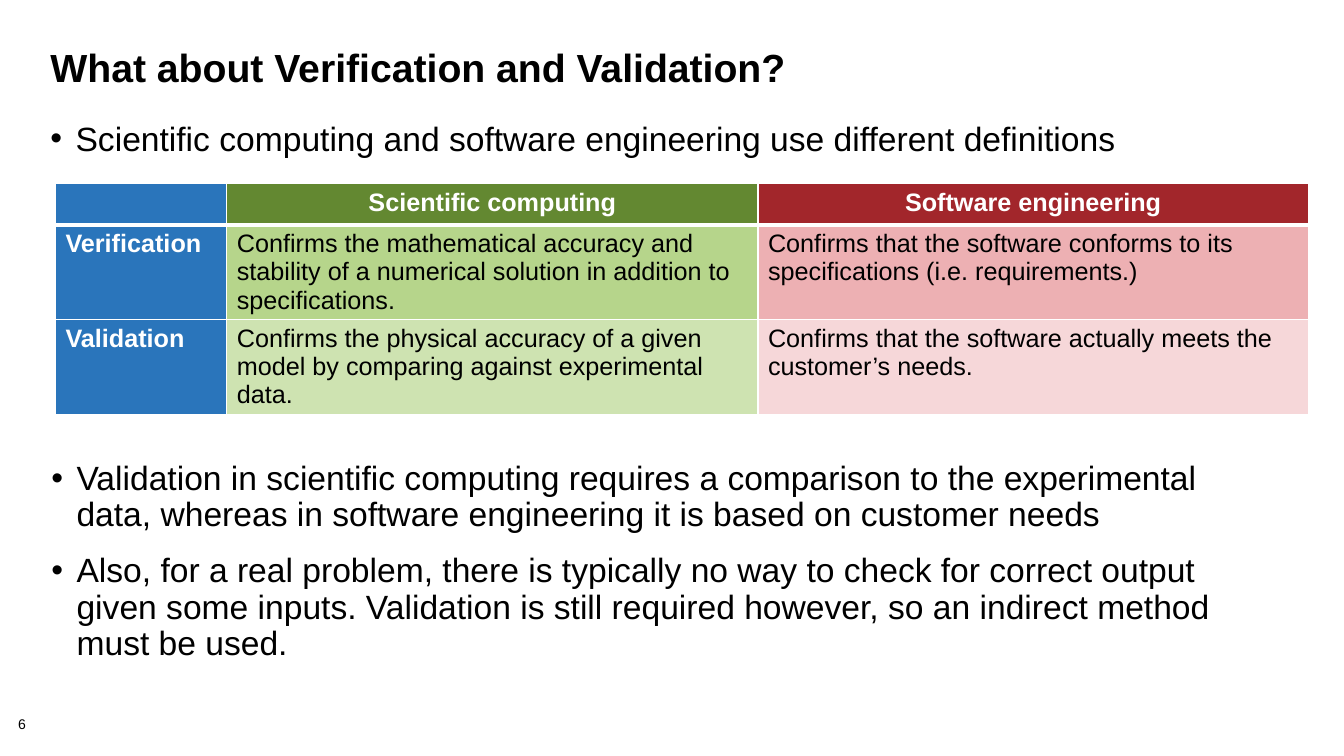
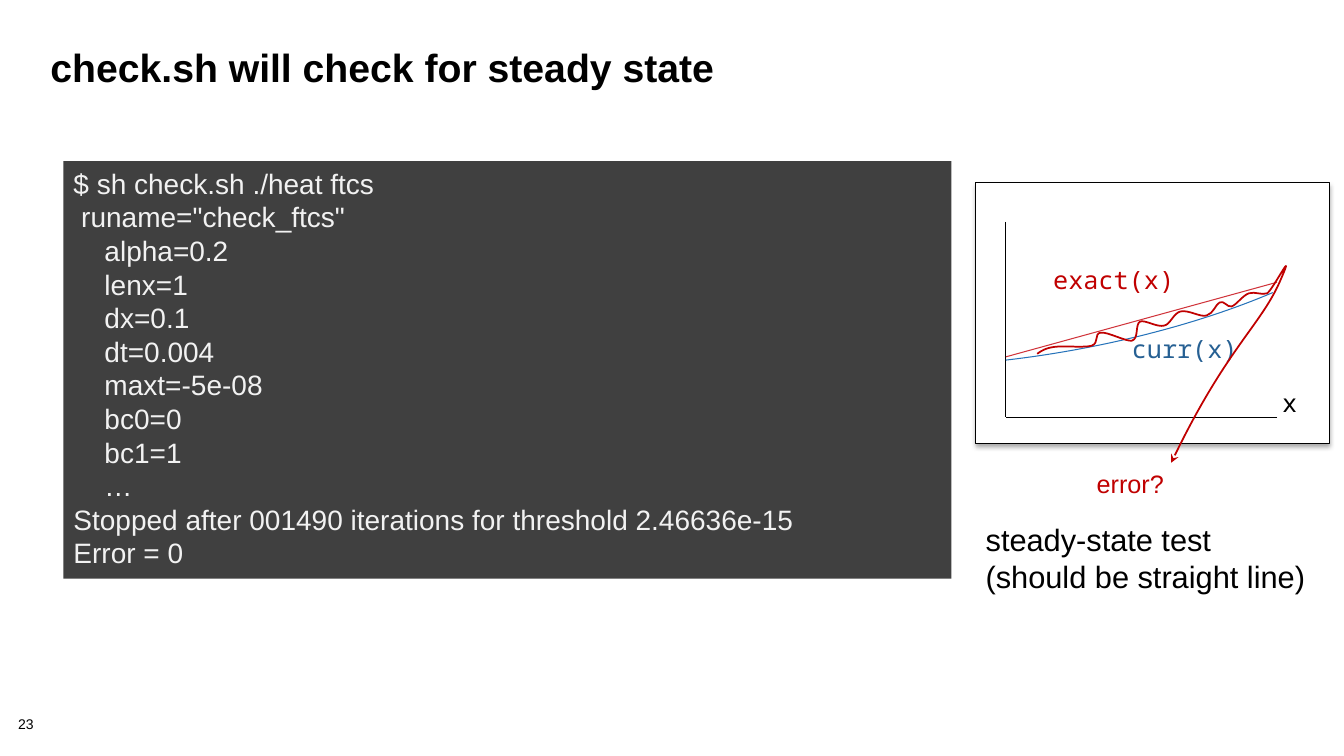
from dataclasses import dataclass
from typing import NamedTuple

from lxml import etree
from pptx import Presentation
from pptx.dml.color import RGBColor
from pptx.enum.shapes import MSO_CONNECTOR, MSO_SHAPE
from pptx.enum.text import MSO_ANCHOR, MSO_AUTO_SIZE, PP_ALIGN
from pptx.oxml.ns import qn
from pptx.util import Inches, Pt

RECT, ARC = MSO_SHAPE.RECTANGLE, MSO_SHAPE.ARC
LINE = MSO_CONNECTOR.STRAIGHT
TOP, MIDDLE = MSO_ANCHOR.TOP, MSO_ANCHOR.MIDDLE
LEFT, CENTER = PP_ALIGN.LEFT, PP_ALIGN.CENTER
FIXED, GROW = MSO_AUTO_SIZE.NONE, MSO_AUTO_SIZE.SHAPE_TO_FIT_TEXT
TWO_LISTS, TITLE_ONLY = 3, 5


@dataclass(frozen=True)
class Theme:
    sans: str = "Arial"
    mono: str = "Noto Sans Mono"
    ink: str = "000000"
    paper: str = "FFFFFF"
    blue: str = "2A75BB"
    green: tuple = ("638831", "B6D58B", "CEE3B1")
    red: tuple = ("A2262B", "EDB0B3", "F6D7D9")
    term: str = "404040"
    code: str = "F2F2F2"
    exact: str = "D0343B"
    curve: str = "2673BA"
    label: str = "266093"
    alert: str = "C00000"
    head_pt: int = 28
    list_pt: int = 24
    note_pt: int = 22
    code_pt: int = 20
    text_pt: int = 18
    page_pt: int = 10
    hair: float = 0.75


T = Theme()


class Box(NamedTuple):
    x: float
    y: float
    w: float
    h: float

    def emu(self) -> list:
        return [Inches(v) for v in self]


class Style(NamedTuple):
    size: int
    color: str = T.ink
    face: str = T.sans
    bold: bool = False
    align: PP_ALIGN = LEFT
    lead: float = 1.0
    gap: int = 0
    bullet: bool = False


class Label(NamedTuple):
    box: Box
    text: str
    style: Style
    wrap: bool = True
    inset: tuple = (0.1, 0.05)
    anchor: MSO_ANCHOR = TOP
    fit: MSO_AUTO_SIZE = GROW


class Cell(NamedTuple):
    text: str
    fill: str
    style: Style


class Stroke(NamedTuple):
    start: tuple
    end: tuple
    color: str


TITLE = Style(T.head_pt, bold=True, lead=0.85)
LIST = Style(T.list_pt, lead=0.9, gap=14, bullet=True)
BODY = Style(T.text_pt)
SIDE = Style(T.text_pt, T.paper, bold=True)
HEAD = SIDE._replace(align=CENTER)
MONO = Style(T.text_pt, face=T.mono)


# Shared helpers
def rgb(code: str) -> RGBColor:
    return RGBColor.from_string(code)


def add(node, tag: str, **attrs):
    return etree.SubElement(node, qn(tag), {k: str(v) for k, v in attrs.items()})


def write(frame, text: str, style: Style) -> None:
    """Fill a text frame, one paragraph for each line of text."""
    for i, line in enumerate(text.split("\n")):
        para = frame.paragraphs[0] if i == 0 else frame.add_paragraph()
        para.add_run().text = line
        if style.bullet:
            props = para._p.get_or_add_pPr()
            props.set("marL", str(Inches(0.25)))
            props.set("indent", str(-Inches(0.25)))
            add(add(props, "a:buClr"), "a:srgbClr", val=T.ink)
            add(props, "a:buFont", typeface=T.sans)
            add(props, "a:buChar", char="•")
        para.alignment, para.line_spacing = style.align, style.lead
        para.space_before = Pt(style.gap if i else 0)
        font = para.font
        font.name, font.size, font.bold = style.face, Pt(style.size), style.bold
        font.color.rgb = rgb(style.color)


def place(holder, box: Box, text: str, style: Style) -> None:
    holder.left, holder.top, holder.width, holder.height = box.emu()
    frame = holder.text_frame
    frame.auto_size, frame.vertical_anchor = FIXED, TOP
    write(frame, text, style)


def put(slide, item: Label) -> None:
    frame = slide.shapes.add_textbox(*item.box.emu()).text_frame
    frame.word_wrap, frame.vertical_anchor = item.wrap, item.anchor
    frame.auto_size = item.fit
    across, down = (Inches(v) for v in item.inset)
    frame.margin_left = frame.margin_right = across
    frame.margin_top = frame.margin_bottom = down
    write(frame, item.text, item.style)


def paint(shape, fill: str = "", line: str = "", width: float = T.hair) -> None:
    shape.shadow.inherit = False
    if fill:
        shape.fill.solid()
        shape.fill.fore_color.rgb = rgb(fill)
    else:
        shape.fill.background()
    if line:
        shape.line.color.rgb = rgb(line)
        shape.line.width = Pt(width)
    else:
        shape.line.fill.background()


def rule(slide, item: Stroke) -> None:
    ends = [Inches(v) for v in item.start + item.end]
    line = slide.shapes.add_connector(LINE, *ends)
    line.line.color.rgb = rgb(item.color)
    line.line.width = Pt(T.hair)
    add(line._element.spPr, "a:effectLst")


def start(deck, kind: int, title: str, page: int):
    """Add a slide with its title and page number."""
    slide = deck.slides.add_slide(deck.slide_layouts[kind])
    place(slide.shapes.title, Box(0.4, 0.45, 12.44, 1), title, TITLE)
    put(slide, Label(Box(0.18, 7.12, 0.56, 0.16), str(page),
                     Style(T.page_pt, lead=0.9), inset=(0, 0), fit=FIXED))
    return slide


# Table of terms
GRID = (
    (Cell("", T.blue, HEAD),
     Cell("Scientific computing", T.green[0], HEAD),
     Cell("Software engineering", T.red[0], HEAD)),
    (Cell("Verification", T.blue, SIDE),
     Cell("Confirms the mathematical accuracy and stability of a numerical "
          "solution in addition to specifications.", T.green[1], BODY),
     Cell("Confirms that the software conforms to its specifications "
          "(i.e. requirements.)", T.red[1], BODY)),
    (Cell("Validation", T.blue, SIDE),
     Cell("Confirms the physical accuracy of a given model by comparing "
          "against experimental data.", T.green[2], BODY),
     Cell("Confirms that the software actually meets the customer’s needs.",
          T.red[2], BODY)),
)
COLS = (1.7, 5.27, 5.46)
ROW = 0.41


def edge(cell, row: int) -> None:
    """Draw white borders, thick below the head."""
    props = cell._tc.get_or_add_tcPr()
    for side in ("a:lnL", "a:lnR", "a:lnT", "a:lnB"):
        thick = row == 0 and side == "a:lnB"
        line = add(props, side, w=Pt(3 if thick else 1))
        add(add(line, "a:solidFill"), "a:srgbClr", val=T.paper)


def fill_grid(slide) -> None:
    box = Box(0.55, 1.82, sum(COLS), 2.41)
    holder = slide.shapes.add_table(len(GRID), len(COLS), *box.emu())
    table = holder.table
    table.first_row = table.horz_banding = False
    for col, width in zip(table.columns, COLS):
        col.width = Inches(width)
    for r, row in enumerate(GRID):
        table.rows[r].height = Inches(ROW)
        for c, item in enumerate(row):
            cell = table.cell(r, c)
            edge(cell, r)
            cell.fill.solid()
            cell.fill.fore_color.rgb = rgb(item.fill)
            if item.text:
                write(cell.text_frame, item.text, item.style)
    holder.height = Inches(box.h)


def terms(deck) -> None:
    slide = start(deck, TWO_LISTS, "What about Verification and Validation?", 6)
    place(slide.placeholders[1], Box(0.4, 1.16, 12.33, 2.83),
          "Scientific computing and software engineering use different "
          "definitions", LIST)
    fill_grid(slide)
    place(slide.placeholders[2], Box(0.41, 4.53, 12.33, 2.41),
          "Validation in scientific computing requires a comparison to the "
          "experimental data, whereas in software engineering it is based on "
          "customer needs\n"
          "Also, for a real problem, there is typically no way to check for "
          "correct output given some inputs. Validation is still required "
          "however, so an indirect method must be used.", LIST)


# Steady state sketch
CODE = """$ sh check.sh ./heat ftcs
 runame="check_ftcs"
    alpha=0.2
    lenx=1
    dx=0.1
    dt=0.004
    maxt=-5e-08
    bc0=0
    bc1=1
    …
Stopped after 001490 iterations for threshold 2.46636e-15
Error = 0"""
AXIS_X, AXIS_Y, AXIS_END = 9.98, 4.14, 12.67
STROKES = (
    Stroke((AXIS_X, 2.2), (AXIS_X, AXIS_Y), T.ink),
    Stroke((AXIS_END, AXIS_Y), (AXIS_X, AXIS_Y), T.ink),
    Stroke((AXIS_X, 3.54), (AXIS_END, 2.8), T.exact),
)
LABELS = (
    Label(Box(9.68, 5.12, 3.65, 0.84),
          "steady-state test\n(should be straight line)", Style(T.note_pt)),
    Label(Box(10.35, 2.57, 1.41, 0.4), "exact(x)",
          MONO._replace(color=T.alert), wrap=False),
    Label(Box(12.62, 3.79, 0.35, 0.4), "x", MONO, wrap=False),
    Label(Box(11.13, 3.26, 1.26, 0.4), "curr(x)",
          MONO._replace(color=T.label), wrap=False),
    Label(Box(10.75, 4.58, 1.74, 0.47), "error?",
          Style(T.text_pt, T.alert, lead=0.9), inset=(0.13, 0.1), anchor=MIDDLE),
)
# Each bend holds two control points and an end point
WAVE_START, WAVE_TIP = (10.29, 3.51), (12.76, 2.64)
WAVE = (
    ((10.33, 3.48), (10.38, 3.45), (10.47, 3.44)),
    ((10.56, 3.43), (10.76, 3.45), (10.83, 3.43)),
    ((10.91, 3.4), (10.85, 3.31), (10.92, 3.3)),
    ((10.99, 3.29), (11.17, 3.39), (11.23, 3.38)),
    ((11.3, 3.36), (11.26, 3.22), (11.31, 3.19)),
    ((11.36, 3.17), (11.48, 3.25), (11.55, 3.23)),
    ((11.61, 3.22), (11.64, 3.11), (11.71, 3.09)),
    ((11.79, 3.07), (11.91, 3.15), (11.97, 3.13)),
    ((12.04, 3.11), (12.06, 3.02), (12.1, 3)),
    ((12.15, 2.98), (12.17, 3.05), (12.22, 3.04)),
    ((12.27, 3.02), (12.33, 2.93), (12.39, 2.91)),
    ((12.45, 2.89), (12.52, 2.93), (12.57, 2.91)),
    ((12.62, 2.89), (12.88, 2.38), (12.69, 2.81)),
    ((12.5, 3.23), (12.15, 3.48), (11.62, 4.59)),
)


def ripple(slide):
    """Span the wave's extent, then bend its outline into cubic curves."""
    pen = slide.shapes.build_freeform(*(Inches(v) for v in WAVE_START))
    ends = (WAVE_TIP, WAVE[-1][-1])
    pen.add_line_segments([(Inches(x), Inches(y)) for x, y in ends], close=False)
    wave = pen.convert_to_shape()
    route = next(wave._element.iter(qn("a:path")))
    for line in route.findall(qn("a:lnTo")):
        route.remove(line)
    for bend in WAVE:
        curve = add(route, "a:cubicBezTo")
        for x, y in bend:
            add(curve, "a:pt", x=Inches(x) - wave.left, y=Inches(y) - wave.top)
    return wave


def sketch(slide) -> None:
    frame = slide.shapes.add_shape(RECT, *Box(9.68, 1.81, 3.51, 2.59).emu())
    paint(frame, fill=T.paper, line=T.ink)
    glow = add(frame._element.spPr.find(qn("a:effectLst")), "a:outerShdw",
               blurRad=Pt(3.5), dist=Pt(2.2), dir=90 * 60000, rotWithShape=0)
    add(add(glow, "a:srgbClr", val=T.ink), "a:alpha", val=32000)
    for item in STROKES:
        rule(slide, item)
    # Current state
    arc = slide.shapes.add_shape(ARC, *Box(7.04, 1.26, 6.95, 2.22).emu())
    arc.adjustments[0], arc.adjustments[1] = 141.21, 201.13
    arc.rotation = 349.4
    arc._element.spPr.xfrm.set("flipV", "1")
    paint(arc, line=T.curve)
    for item in LABELS:
        put(slide, item)
    # Error wave with arrow
    wave = ripple(slide)
    paint(wave, line=T.alert, width=1.25)
    add(wave.line._get_or_add_ln(), "a:tailEnd", type="stealth")


def steady(deck) -> None:
    slide = start(deck, TITLE_ONLY, "check.sh will check for steady state", 23)
    panel = slide.shapes.add_shape(RECT, *Box(0.63, 1.6, 8.81, 4.14).emu())
    paint(panel, fill=T.term)
    frame = panel.text_frame
    frame.vertical_anchor, frame.auto_size = TOP, GROW
    write(frame, CODE, Style(T.code_pt, T.code))
    sketch(slide)


def main() -> None:
    deck = Presentation()
    deck.slide_width, deck.slide_height = Inches(40 / 3), Inches(7.5)
    terms(deck)
    steady(deck)
    deck.save("out.pptx")


if __name__ == "__main__":
    main()
